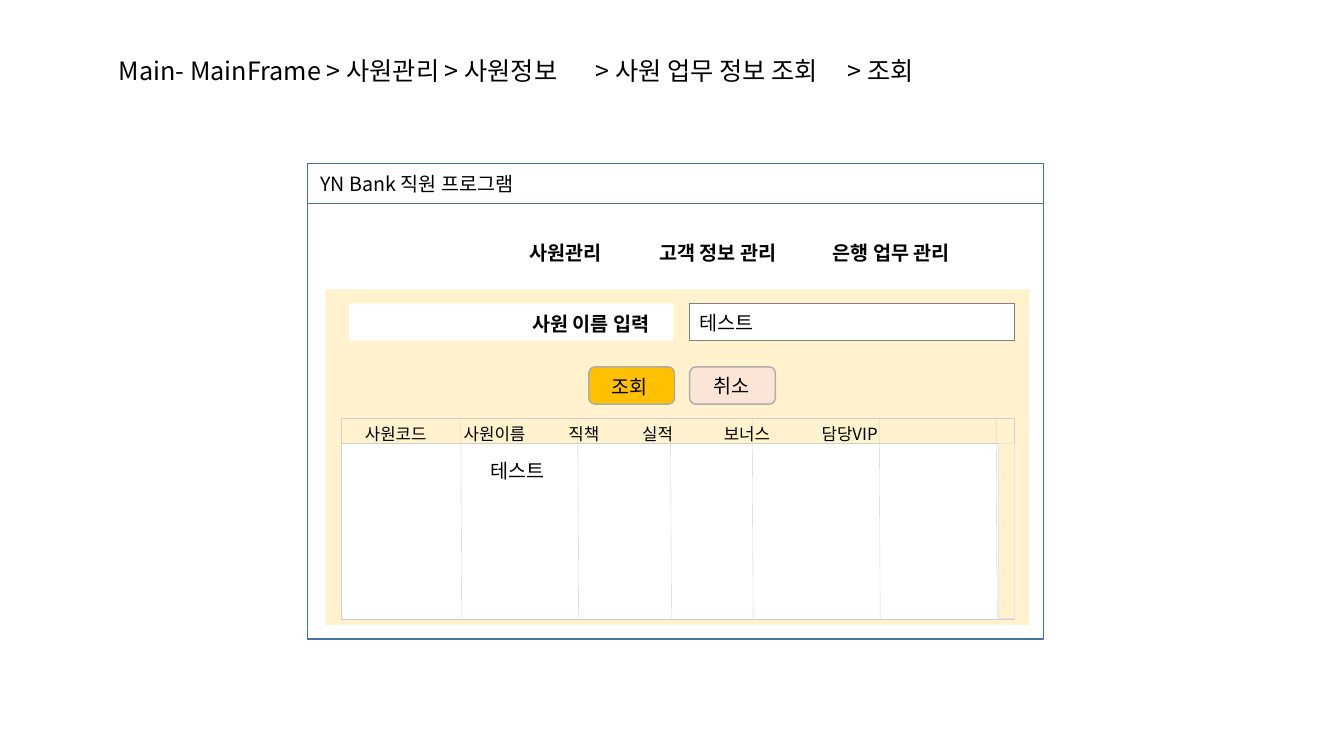
"""Build the screen design slide for the employee work information search."""
from dataclasses import dataclass
from typing import Any, Optional

from lxml import etree
from pptx import Presentation
from pptx import util as u
from pptx.dml.color import RGBColor
from pptx.enum import shapes, text
from pptx.oxml import ns

EMU_PER_PX = 9144


@dataclass(frozen=True)
class Theme:
    font: str = "Noto Sans CJK KR"
    ink: str = "000000"
    white: str = "FFFFFF"
    frame: str = "43739E"
    cream: str = "FFF2CC"
    field: str = "808080"
    search: str = "FFC000"
    cancel: str = "FBE5D6"
    button: str = "AFABAB"
    grid: str = "D0CECE"
    scroll: str = "E7E6E6"
    title_size: int = 18
    body_size: int = 14
    small_size: int = 12


@dataclass(frozen=True)
class Area:
    left: int
    top: int
    width: int
    height: int


@dataclass(frozen=True)
class Panel:
    area: Area
    fill: Optional[str] = None
    line: Optional[str] = None
    weight: float = 1
    rounded: bool = False


@dataclass(frozen=True)
class Label:
    area: Area
    words: str
    size: int = Theme.body_size
    bold: bool = False
    tabs: tuple[int, ...] = ()


THEME = Theme()
FRAME = Area(305, 162, 730, 472)
GRID = Area(338, 415, 668, 199)
HEADER_HEIGHT = 25
SCROLL_WIDTH = 16
DIVIDERS = (457, 573, 665, 746, 872, 988)
TITLE = Label(
    Area(108, 50, 927, 40),
    "Main- MainFrame > 사원관리 > 사원정보\t> 사원 업무 정보 조회\t> 조회",
    THEME.title_size, tabs=(473, 723))

PANELS = (
    Panel(FRAME, line=THEME.frame),
    Panel(Area(FRAME.left, FRAME.top, FRAME.width, 40), line=THEME.frame),
    Panel(Area(323, 287, 698, 333), THEME.cream),
    Panel(Area(346, 301, 322, 37), THEME.white),
    Panel(Area(684, 301, 322, 37), THEME.white, THEME.field),
    Panel(Area(584, 364, 85, 37), THEME.search, THEME.button, rounded=True),
    Panel(Area(684, 364, 85, 37), THEME.cancel, THEME.button, rounded=True),
    Panel(GRID, THEME.white, THEME.grid, 0.25),
    Panel(Area(GRID.left, GRID.top, GRID.width, HEADER_HEIGHT),
          THEME.cream, THEME.grid, 0.25),
    Panel(Area(GRID.left + GRID.width - SCROLL_WIDTH, GRID.top + HEADER_HEIGHT,
               SCROLL_WIDTH, GRID.height - HEADER_HEIGHT),
          THEME.cream, THEME.scroll, 0.5),
)

LABELS = (
    Label(Area(308, 166, 476, 34), "YN Bank 직원 프로그램"),
    Label(Area(515, 234, 138, 34), "사원관리", bold=True),
    Label(Area(644, 234, 164, 34), "고객 정보 관리", bold=True),
    Label(Area(816, 234, 165, 34), "은행 업무 관리", bold=True),
    Label(Area(518, 305, 162, 34), "사원 이름 입력", bold=True),
    Label(Area(597, 367, 72, 34), "조회"),
    Label(Area(698, 366, 72, 34), "취소"),
    Label(Area(GRID.left, GRID.top, 662, 30),
          "\t사원코드\t사원이름\t직책\t실적\t보너스\t담당VIP",
          THEME.small_size, tabs=(14, 112, 216, 289, 370, 467)),
    Label(Area(684, 304, 166, 34), "테스트"),
    Label(Area(477, 450, 166, 34), "테스트"),
)


def px(length: int) -> u.Emu:
    """Turn whole pixels into EMU."""
    return u.Emu(length * EMU_PER_PX)


def apply(target: Any, values: dict[str, Any]) -> None:
    """Set each named attribute on the target."""
    for name, value in values.items():
        setattr(target, name, value)


def bounds(area: Area) -> tuple[u.Emu, ...]:
    """Return left, top, width and height in EMU."""
    return tuple(px(n) for n in (area.left, area.top, area.width, area.height))


def draw_panel(page: Any, panel: Panel) -> None:
    """Draw one rectangle of the screen."""
    kind = shapes.MSO_SHAPE.ROUNDED_RECTANGLE if panel.rounded else shapes.MSO_SHAPE.RECTANGLE
    box = page.shapes.add_shape(kind, *bounds(panel.area))
    box.shadow.inherit = False
    if panel.fill:
        box.fill.solid()
        box.fill.fore_color.rgb = RGBColor.from_string(panel.fill)
    else:
        box.fill.background()
    if panel.line:
        box.line.color.rgb = RGBColor.from_string(panel.line)
        box.line.width = u.Pt(panel.weight)
    else:
        box.line.fill.background()


def write_label(box: Any, label: Label) -> None:
    """Place and format the text of a box or placeholder."""
    apply(box, dict(zip(("left", "top", "width", "height"), bounds(label.area))))
    apply(box.text_frame, {
        "word_wrap": True,
        "auto_size": text.MSO_AUTO_SIZE.NONE,
        "vertical_anchor": text.MSO_ANCHOR.TOP,
        "margin_left": px(10), "margin_right": px(10),
        "margin_top": px(5), "margin_bottom": px(5),
    })
    para = box.text_frame.paragraphs[0]
    apply(para, {"alignment": text.PP_ALIGN.LEFT, "line_spacing": 1.0})
    if label.tabs:
        stops = etree.SubElement(para._p.get_or_add_pPr(), ns.qn("a:tabLst"))
        for stop in label.tabs:
            etree.SubElement(stops, ns.qn("a:tab"), pos=str(px(stop)), algn="l")
    span = para.add_run()
    span.text = label.words
    apply(span.font, {"name": THEME.font, "size": u.Pt(label.size), "bold": label.bold})
    span.font.color.rgb = RGBColor.from_string(THEME.ink)
    latin = span.font._element.find(ns.qn("a:latin"))
    east_asian = etree.Element(ns.qn("a:ea"), typeface=THEME.font)
    latin.addnext(east_asian)


def draw_divider(page: Any, left: int) -> None:
    """Draw one slightly leaning column line of the grid."""
    divider = page.shapes.add_connector(
        shapes.MSO_CONNECTOR.STRAIGHT, px(left), px(GRID.top),
        px(left + 1), px(GRID.top + GRID.height - 1))
    divider.line.color.rgb = RGBColor.from_string(THEME.grid)
    divider.line.width = u.Pt(0.25)
    etree.SubElement(divider._element.spPr, ns.qn("a:effectLst"))


def main() -> None:
    """Build the slide and save the deck."""
    deck = Presentation()
    apply(deck, {"slide_width": px(1333), "slide_height": px(750)})
    page = deck.slides.add_slide(deck.slide_layouts[5])
    write_label(page.shapes.title, TITLE)
    for panel in PANELS:
        draw_panel(page, panel)
    for left in DIVIDERS:
        draw_divider(page, left)
    for label in LABELS:
        write_label(page.shapes.add_textbox(*bounds(label.area)), label)
    deck.save("out.pptx")


if __name__ == "__main__":
    main()
